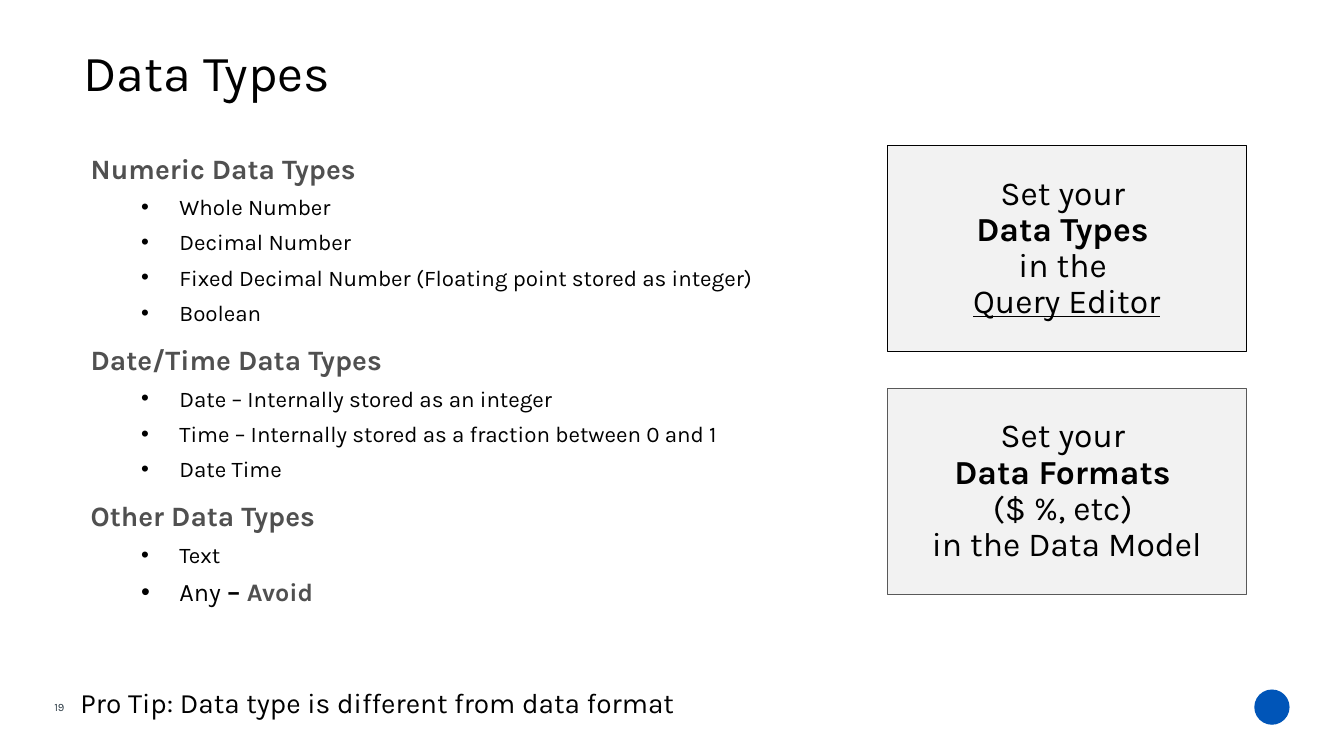
from pptx import Presentation
from pptx.dml.color import RGBColor
from pptx.enum.shapes import MSO_SHAPE
from pptx.enum.text import MSO_ANCHOR, PP_ALIGN
from pptx.util import Inches, Pt
from lxml.etree import SubElement
from pptx.oxml.ns import qn


def style(font, size, color="000000", bold=None):
    font.name = "Karla"
    font.size = Pt(size)
    font.color.rgb = RGBColor.from_string(color)
    font.bold = bold


def set_frame(frame, side, top, right=None):
    frame.word_wrap = True
    frame.margin_left = Inches(side)
    frame.margin_right = Inches(side if right is None else right)
    frame.margin_top = frame.margin_bottom = Inches(top)


prs = Presentation()
prs.slide_width = Inches(13.33)
prs.slide_height = Inches(7.5)
slide = prs.slides.add_slide(prs.slide_layouts[5])

title = slide.shapes.title
title.left, title.top = Inches(0.83), Inches(0.5)
title.width, title.height = Inches(11.31), Inches(0.45)
set_frame(title.text_frame, 0, 0)
title.text_frame.vertical_anchor = MSO_ANCHOR.TOP
heading = title.text_frame.paragraphs[0]
heading.text = "Data Types"
heading.alignment = PP_ALIGN.LEFT
heading.line_spacing = 0.85
style(heading.font, 36)

page_number = slide.shapes.add_textbox(Inches(0.03), Inches(6.9), Inches(0.61), Inches(0.24))
set_frame(page_number.text_frame, 0.1, 0.05, 0)
number = page_number.text_frame.paragraphs[0]
number.text = "19"
number.alignment = PP_ALIGN.RIGHT
style(number.font, 8, "303E48")

emblem = slide.shapes.add_shape(MSO_SHAPE.OVAL, Inches(12.44), Inches(6.84), Inches(0.35), Inches(0.35))
emblem.shadow.inherit = False
emblem.fill.solid()
emblem.fill.fore_color.rgb = RGBColor.from_string("0055B8")
emblem.line.fill.background()

type_groups = {
    "Numeric Data Types": [
        "Whole Number",
        "Decimal Number",
        "Fixed Decimal Number (Floating point stored as integer)",
        "Boolean",
    ],
    "Date/Time Data Types": [
        "Date – Internally stored as an integer",
        "Time – Internally stored as a fraction between 0 and 1",
        "Date Time",
    ],
    "Other Data Types": ["Text", "Any"],
}
type_list = slide.shapes.add_textbox(Inches(0.7), Inches(1.34), Inches(8.1), Inches(5.05)).text_frame
set_frame(type_list, 0.2, 0.16)
group_line = type_list.paragraphs[0]
for group, types in type_groups.items():
    if group_line is None:
        group_line = type_list.add_paragraph()
        group_line.space_before = Pt(12)
    group_line.text = group
    style(group_line.font, 20, "505050", True)
    group_line = None
    for type_name in types:
        type_line = type_list.add_paragraph()
        type_line.text = type_name
        type_line.level = 1
        type_line.space_before = Pt(6)
        props = type_line._p.get_or_add_pPr()
        props.set("marL", str(Inches(0.88)))
        props.set("indent", str(Inches(-0.38)))
        SubElement(props, qn("a:buFont"), typeface="Arial")
        SubElement(props, qn("a:buChar"), char="•")
        if type_name != "Any":
            style(type_line.font, 16)

style(type_line.runs[0].font, 18)
for warning, color in ((" – ", "000000"), ("Avoid", "505050")):
    run = type_line.add_run()
    run.text = warning
    style(run.font, 18, color, True)

tip = slide.shapes.add_shape(MSO_SHAPE.RECTANGLE, Inches(0.7), Inches(6.79), Inches(6.14), Inches(0.4))
tip.shadow.inherit = False
tip.fill.solid()
tip.fill.fore_color.rgb = RGBColor.from_string("FFFFFF")
tip.line.fill.background()
set_frame(tip.text_frame, 0.1, 0.05)
tip.text_frame.vertical_anchor = MSO_ANCHOR.TOP
tip_line = tip.text_frame.paragraphs[0]
tip_line.text = "Pro Tip: Data type is different from data format"
tip_line.alignment = PP_ALIGN.LEFT
tip_line.line_spacing = 0.9
tip_line.space_after = Pt(6)
style(tip_line.font, 20)

callouts = [
    (1.44, "000000", 0.85, ["Set your ", "Data Types ", "in the ", "Query Editor"]),
    (3.85, "595959", 0.75, ["Set your ", "Data Formats ", "($ %, etc) ", "in the Data Model"]),
]
for top, border, border_width, lines in callouts:
    callout = slide.shapes.add_shape(MSO_SHAPE.RECTANGLE, Inches(8.8), Inches(top), Inches(3.56), Inches(2.05))
    callout.shadow.inherit = False
    callout.fill.solid()
    callout.fill.fore_color.rgb = RGBColor.from_string("F2F2F2")
    callout.line.color.rgb = RGBColor.from_string(border)
    callout.line.width = Pt(border_width)
    set_frame(callout.text_frame, 0.2, 0.16)
    callout.text_frame.vertical_anchor = MSO_ANCHOR.MIDDLE
    advice = callout.text_frame.paragraphs[0]
    advice.alignment = PP_ALIGN.CENTER
    advice.line_spacing = 0.9
    for index, line in enumerate(lines):
        if index:
            advice.add_line_break()
        run = advice.add_run()
        run.text = line
        style(run.font, 24, bold=index == 1)
        if line == "Query Editor":
            run.font.underline = True

prs.save("out.pptx")
